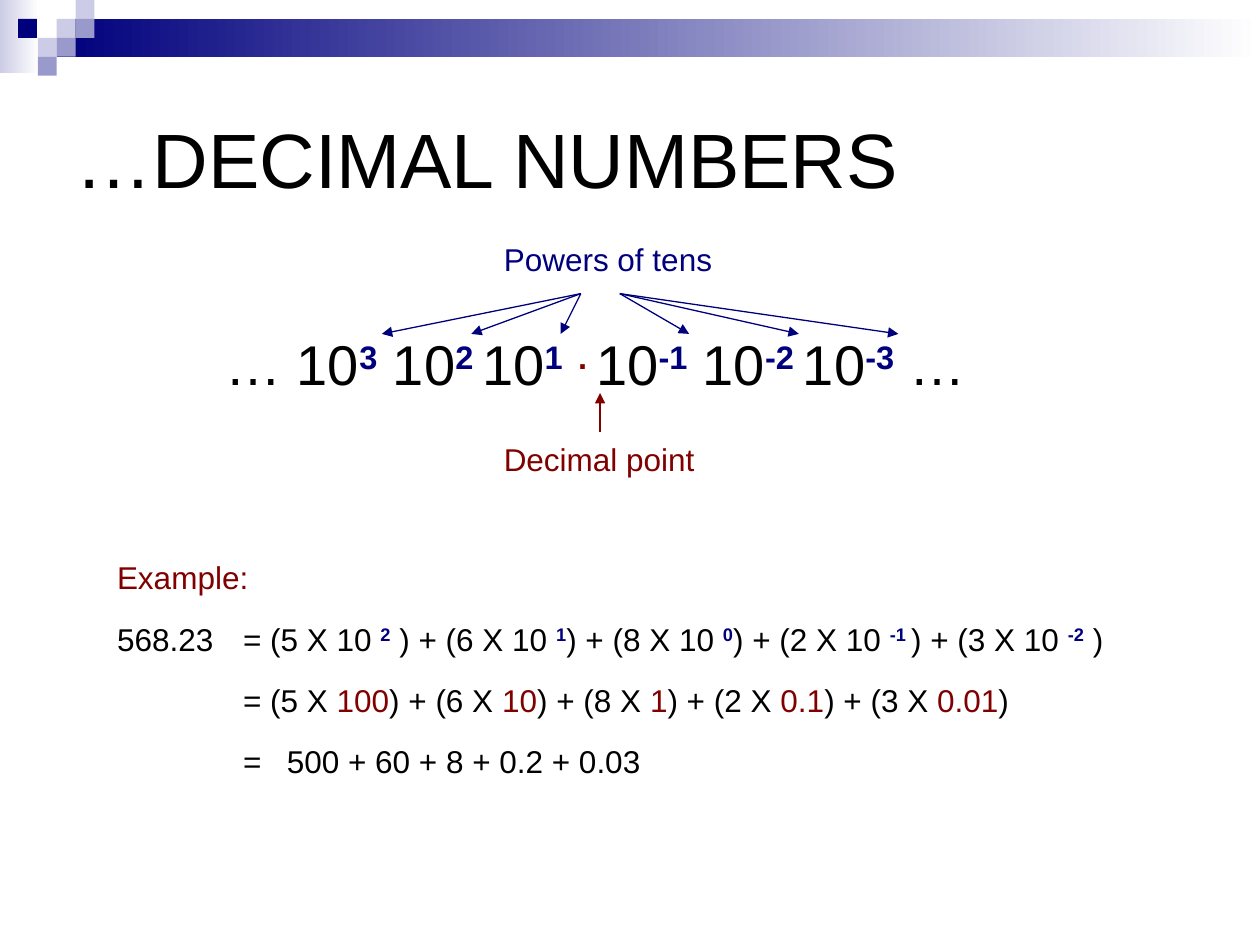
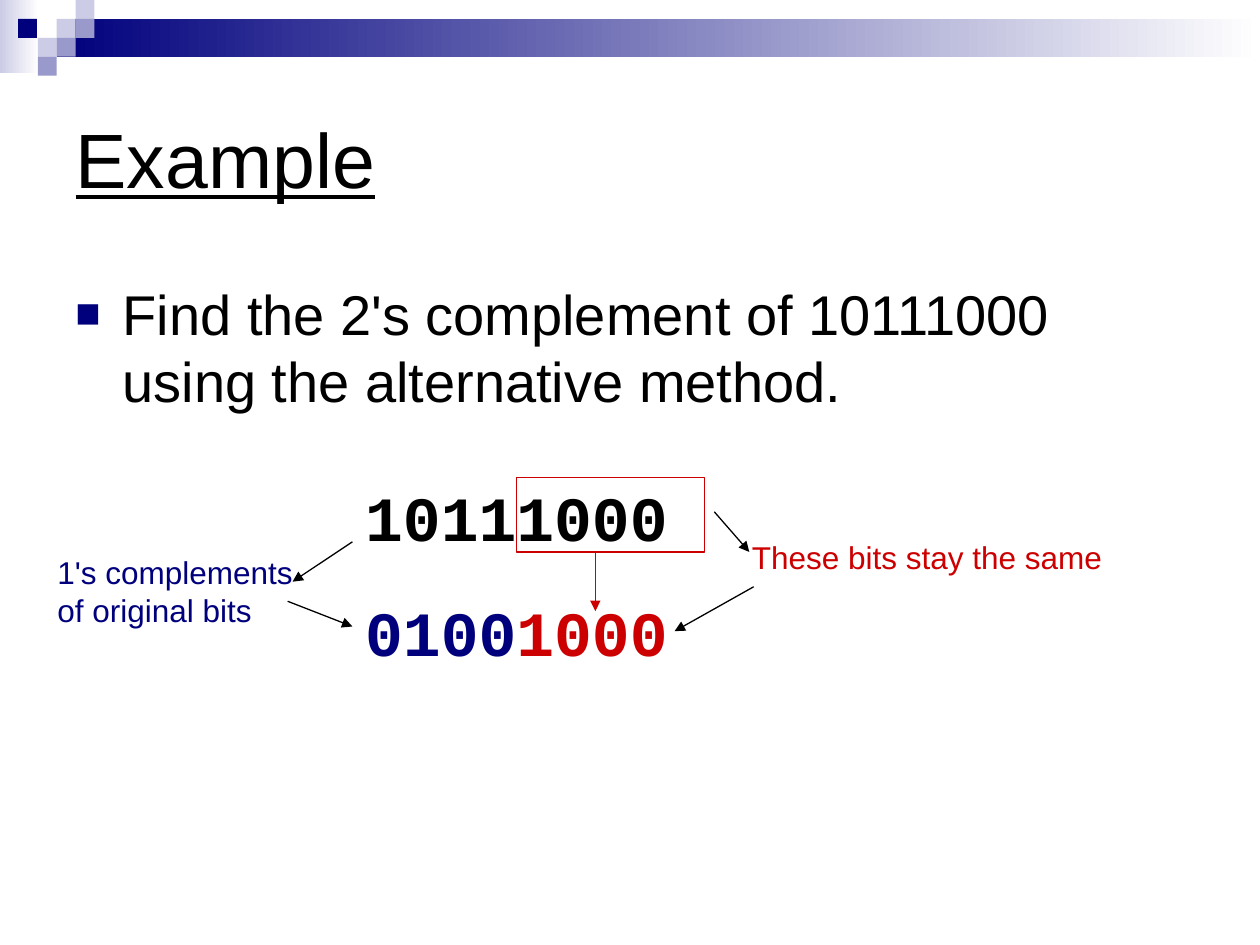
from typing import NamedTuple

from lxml.etree import SubElement
from pptx import Presentation
from pptx.dml.color import RGBColor
from pptx.enum.shapes import MSO_CONNECTOR, MSO_SHAPE
from pptx.enum.text import MSO_ANCHOR, MSO_AUTO_SIZE, PP_ALIGN
from pptx.oxml.ns import qn
from pptx.util import Pt

NAVY = RGBColor(0x00, 0x00, 0x7D)
PERIWINKLE = RGBColor(0x99, 0x99, 0xCC)
LAVENDER = RGBColor(0xCC, 0xCC, 0xE6)
WHITE = RGBColor(0xFF, 0xFF, 0xFF)
BLACK = RGBColor(0x00, 0x00, 0x00)
MAROON = RGBColor(0x80, 0x00, 0x00)
RED = RGBColor(0xCC, 0x00, 0x00)

SANS, MONO = "Arial", "Courier New"
LINE_HEIGHT = 1.2
CELL = 10.8  # side of one square in the corner mosaic


class Box(NamedTuple):
    x: float
    y: float
    w: float
    h: float


class Run(NamedTuple):
    text: str
    color: RGBColor = BLACK
    raised: bool = False


class TextStyle(NamedTuple):
    size: float = 18
    font: str = SANS
    bold: bool = False
    space_before: float = 0
    tabs: tuple[float, ...] = ()
    bullet: bool = False


class Arrow(NamedTuple):
    x1: float
    y1: float
    x2: float
    y2: float
    color: RGBColor = BLACK


class Square(NamedTuple):
    x: float
    row: int
    color: RGBColor


MOSAIC = [
    Square(3 * CELL, 1, LAVENDER),
    Square(4 * CELL, 0, LAVENDER),
    Square(4 * CELL, 1, PERIWINKLE),
    Square(2 * CELL, 2, LAVENDER),
    Square(10.3, 1, NAVY),
    Square(3 * CELL, 2, PERIWINKLE),
    Square(2 * CELL, 3, PERIWINKLE),
]


def add_rect(s, box: Box):
    sp = s.shapes.add_shape(MSO_SHAPE.RECTANGLE, *map(Pt, box))
    sp.shadow.inherit = False
    return sp


def add_gradient(s, box: Box, start: RGBColor) -> None:
    sp = add_rect(s, box)
    sp.line.fill.background()
    sp.fill.gradient()
    sp.fill.gradient_angle = 0
    for stop, position, color in zip(sp.fill.gradient_stops, (0, 1), (start, WHITE)):
        stop.position = position
        stop.color.rgb = color


def add_run(p, run: Run, style: TextStyle, underline: bool = False) -> None:
    r = p.add_run()
    r.text = run.text
    r.font.name = style.font
    r.font.size = Pt(style.size)
    r.font.bold = style.bold or run.raised
    r.font.color.rgb = run.color
    if underline:
        r.font.underline = True
    if run.raised:
        r._r.get_or_add_rPr().set("baseline", "30000")


def add_bullet(p) -> None:
    pPr = p._p.get_or_add_pPr()
    pPr.set("marL", str(Pt(27)))
    pPr.set("indent", str(-Pt(27)))
    color = SubElement(pPr, qn("a:buClr"))
    SubElement(color, qn("a:srgbClr"), val=str(NAVY))
    SubElement(pPr, qn("a:buSzPct"), val="75000")
    SubElement(pPr, qn("a:buFont"), typeface=SANS)
    SubElement(pPr, qn("a:buChar"), char="■")


def add_text(s, box: Box, lines: list[list[Run]], style: TextStyle = TextStyle()) -> None:
    tf = s.shapes.add_textbox(*map(Pt, box)).text_frame
    tf.word_wrap = True
    for i, runs in enumerate(lines):
        p = tf.add_paragraph() if i else tf.paragraphs[0]
        p.line_spacing = Pt(style.size * LINE_HEIGHT)
        p.space_before = Pt(style.space_before if i else 0)
        if style.bullet:
            add_bullet(p)
        if style.tabs:
            tab_list = SubElement(p._p.get_or_add_pPr(), qn("a:tabLst"))
            for tab in style.tabs:
                SubElement(tab_list, qn("a:tab"), pos=str(Pt(tab)), algn="l")
        for run in runs:
            add_run(p, run, style)


def add_arrow(s, arrow: Arrow) -> None:
    ends = map(Pt, arrow[:4])
    cn = s.shapes.add_connector(MSO_CONNECTOR.STRAIGHT, *ends)
    cn.line.color.rgb = arrow.color
    cn.line.width = Pt(0.75)
    SubElement(cn.get_or_add_ln(), qn("a:tailEnd"), type="triangle")
    SubElement(cn._element.spPr, qn("a:effectLst"))


def add_slide(prs, title: str, underline: bool = False):
    s = prs.slides.add_slide(prs.slide_layouts[5])
    # Top band and corner mosaic
    add_gradient(s, Box(0, 0, 22.3, 41.8), LAVENDER)
    add_gradient(s, Box(3 * CELL, CELL, 720 - 3 * CELL, 2 * CELL), NAVY)
    for square in MOSAIC:
        sp = add_rect(s, Box(square.x, square.row * CELL, CELL, CELL))
        sp.fill.solid()
        sp.fill.fore_color.rgb = square.color
        sp.line.fill.background()
    # Title
    sp = s.shapes.title
    sp.left, sp.top, sp.width, sp.height = map(Pt, (36, 36, 648, 108))
    tf = sp.text_frame
    tf.auto_size = MSO_AUTO_SIZE.NONE
    tf.vertical_anchor = MSO_ANCHOR.MIDDLE
    p = tf.paragraphs[0]
    p.alignment = PP_ALIGN.LEFT
    add_run(p, Run(title), TextStyle(44), underline)
    return s


def power(exponent: str) -> Run:
    return Run(exponent, NAVY, True)


def build_decimal_numbers(prs) -> None:
    s = add_slide(prs, "…DECIMAL NUMBERS")

    # Place values on both sides of the decimal point
    place_values = [
        Run("… 10"), power("3"), Run(" 10"), power("2 "), Run("10"), power("1"),
        Run(" "), Run(". ", MAROON, True),
        Run("10"), power("-1"), Run(" 10"), power("-2 "), Run("10"), power("-3"), Run(" …"),
    ]
    add_text(s, Box(121.7, 185, 493, 104), [place_values], TextStyle(32))
    add_text(s, Box(280.8, 247.7, 125, 28.8), [[Run("Decimal point", MAROON)]])
    add_text(s, Box(280.8, 133.9, 142, 28.8), [[Run("Powers of tens", NAVY)]])

    # Arrows from the labels
    add_arrow(s, Arrow(342.9, 247, 342.9, 224.6, MAROON))
    for start_x, exponent_xs in ((331.9, (320.4, 269.3, 218.2)), (354.2, (393.8, 456.5, 513.4))):
        for exponent_x in exponent_xs:
            add_arrow(s, Arrow(start_x, 167.8, exponent_x, 190.8, NAVY))

    # Worked example
    powers = [Run("568.23\t= (5 X 10 ")]
    for exponent, following in (
        ("2", " ) + (6 X 10 "), ("1", ") + (8 X 10 "), ("0", ") + (2 X 10 "),
        ("-1 ", ") + (3 X 10 "), ("-2", " )"),
    ):
        powers += [power(exponent), Run(following)]
    weights = [Run("\t= (5 X ")]
    for weight, following in (
        ("100", ") + (6 X "), ("10", ") + (8 X "), ("1", ") + (2 X "),
        ("0.1", ") + (3 X "), ("0.01", ")"),
    ):
        weights += [Run(weight, MAROON), Run(following)]
    add_text(
        s, Box(59.8, 315.4, 629, 134),
        [[Run("Example:", MAROON)], powers, weights, [Run("\t=\t500 + 60 + 8 + 0.2 + 0.03")]],
        TextStyle(space_before=13.5, tabs=(72, 97)),
    )


def build_complement_example(prs) -> None:
    s = add_slide(prs, "Example", underline=True)
    task = "Find the 2's complement of 10111000 using the alternative method."
    add_text(s, Box(36, 156.2, 648, 100), [[Run(task)]], TextStyle(32, bullet=True))

    # Number and its complement
    add_text(
        s, Box(201.6, 270, 314.6, 116.6),
        [[Run("10111000")], [Run("0100", NAVY), Run("1000", RED)]],
        TextStyle(36, MONO, bold=True, space_before=22.5),
    )
    unchanged_bits = add_rect(s, Box(295, 272.9, 107.5, 42.5))
    unchanged_bits.fill.background()
    unchanged_bits.line.color.rgb = RED
    unchanged_bits.line.width = Pt(0.75)

    # Labels
    add_text(s, Box(422.6, 303.8, 250, 28.8), [[Run("These bits stay the same", RED)]])
    add_text(
        s, Box(25.7, 312.5, 152, 50.4),
        [[Run("1's complements", NAVY)], [Run("of original bits", NAVY)]],
    )

    # Arrows
    for arrow in (
        Arrow(340.2, 315.4, 340.2, 349.2, RED),
        Arrow(430.7, 335.3, 385.5, 360.7),
        Arrow(408.2, 292.5, 428.2, 315.4),
        Arrow(201.4, 309.6, 167.2, 332.4),
        Arrow(164.4, 343.6, 201.4, 358),
    ):
        add_arrow(s, arrow)


def main() -> None:
    prs = Presentation()
    prs.slide_width, prs.slide_height = Pt(720), Pt(540)
    build_decimal_numbers(prs)
    build_complement_example(prs)
    prs.save("out.pptx")


if __name__ == "__main__":
    main()
